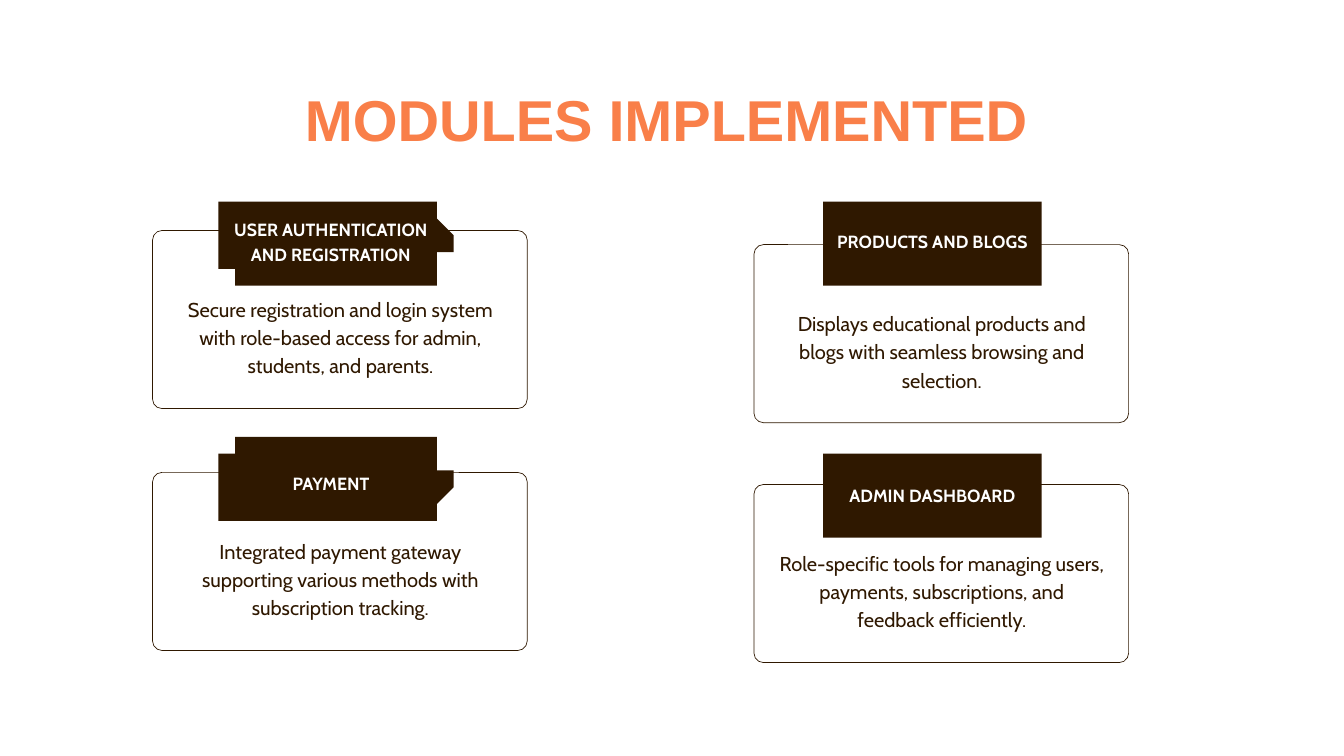
import math
from dataclasses import dataclass

from pptx import Presentation
from pptx import util as u
from pptx.dml import color
from pptx.enum import shapes, text

COLORS = {"orange": "F97F49", "brown": "2F1800", "white": "FFFFFF"}
CELL = 0.25
COLUMNS, ROWS = 80, 45
LEFT, RIGHT = 9.08, 44.88
TAB_HEIGHT = 4.6
LABEL_ROW = 1.44


@dataclass
class Area:
    column: float
    row: float
    columns: float
    rows: float

    def lengths(self) -> list:
        return [cells(n) for n in (self.column, self.row, self.columns, self.rows)]


@dataclass
class Style:
    font: str
    size: float
    leading: float
    color: str
    bold: bool = False


@dataclass
class Module:
    label: str
    detail: str
    column: float
    row: float
    drop: float = 1.68
    label_lines: int = 1


TITLE = Style("Arial", 61.7, 61.7, "orange", True)
LABEL = Style("Cabin", 18.9, 26.4, "white", True)
DETAIL = Style("Cabin", 21.5, 30.1, "brown")

MODULES = [
    Module("USER AUTHENTICATION AND REGISTRATION",
           "Secure registration and login system with role-based access "
           "for admin, students, and parents.", LEFT, 12.04, label_lines=2),
    Module("PRODUCTS AND BLOGS",
           "Displays educational products and blogs with seamless browsing "
           "and selection.", RIGHT, 12.04, drop=2.52),
    Module("PAYMENT",
           "Integrated payment gateway supporting various methods with "
           "subscription tracking.", LEFT, 26.44),
    Module("ADMIN DASHBOARD",
           "Role-specific tools for managing users, payments, subscriptions, "
           "and feedback efficiently.", RIGHT, 27.16),
]


def cells(count: float) -> int:
    return u.Inches(count * CELL)


def rgb(name: str) -> color.RGBColor:
    return color.RGBColor.from_string(COLORS[name])


def write(box, words: str, style: Style) -> None:
    frame = box.text_frame
    frame.word_wrap = True
    frame.auto_size = text.MSO_AUTO_SIZE.NONE
    frame.vertical_anchor = text.MSO_ANCHOR.TOP
    frame.margin_left = frame.margin_right = 0
    frame.margin_top = frame.margin_bottom = 0
    frame.text = words
    para = frame.paragraphs[0]
    para.alignment = text.PP_ALIGN.CENTER
    para.line_spacing = u.Pt(style.leading)
    para.space_before = u.Pt(0)
    for span in para.runs:
        span.font.name = style.font
        span.font.size = u.Pt(style.size)
        span.font.bold = style.bold
        span.font.color.rgb = rgb(style.color)


def add_words(page, area: Area, words: str, style: Style) -> None:
    write(page.shapes.add_textbox(*area.lengths()), words, style)


def add_frame(page, area: Area) -> None:
    frame = page.shapes.add_shape(shapes.MSO_SHAPE.ROUNDED_RECTANGLE, *area.lengths())
    frame.adjustments[0] = 0.053
    frame.shadow.inherit = False
    frame.fill.background()
    frame.line.color.rgb = rgb("brown")
    frame.line.width = u.Pt(0.75)


def add_tab(page, area: Area, bulge: float = 1.1, steps: int = 32) -> None:
    middle = area.row + area.rows / 2
    ends = [(area.column + area.columns - bulge, -90), (area.column + bulge, 90)]
    points = []
    for center, start in ends:
        for step in range(steps + 1):
            angle = math.radians(start + 180 * step / steps)
            points.append((center + bulge * math.cos(angle),
                           middle + area.rows / 2 * math.sin(angle)))
    builder = page.shapes.build_freeform(*points[0], scale=cells(1))
    builder.add_line_segments(points[1:], close=True)
    tab = builder.convert_to_shape()
    tab.shadow.inherit = False
    tab.fill.solid()
    tab.fill.fore_color.rgb = rgb("brown")
    tab.line.fill.background()


def add_module(page, module: Module) -> None:
    left, top = module.column, module.row
    frame_top = top + module.drop
    label_rows = module.label_lines * LABEL_ROW
    label_top = top + (TAB_HEIGHT - label_rows) / 2 - 0.08
    add_frame(page, Area(left, frame_top, 22.3, 10.6))
    add_tab(page, Area(left + 3.8, top, 13.68, TAB_HEIGHT))
    add_words(page, Area(left + 4.4, label_top, 12.44, label_rows), module.label, LABEL)
    add_words(page, Area(left + 1.48, frame_top + 3.76, 19.4, 4.96), module.detail, DETAIL)


def main() -> None:
    deck = Presentation()
    deck.slide_width, deck.slide_height = cells(COLUMNS), cells(ROWS)
    page = deck.slides.add_slide(deck.slide_layouts[5])
    title = page.shapes.title
    title.left, title.top, title.width, title.height = Area(4.6, 5.68, 70.12, 3.56).lengths()
    write(title, "MODULES IMPLEMENTED", TITLE)
    for module in MODULES:
        add_module(page, module)
    deck.save("out.pptx")


if __name__ == "__main__":
    main()
